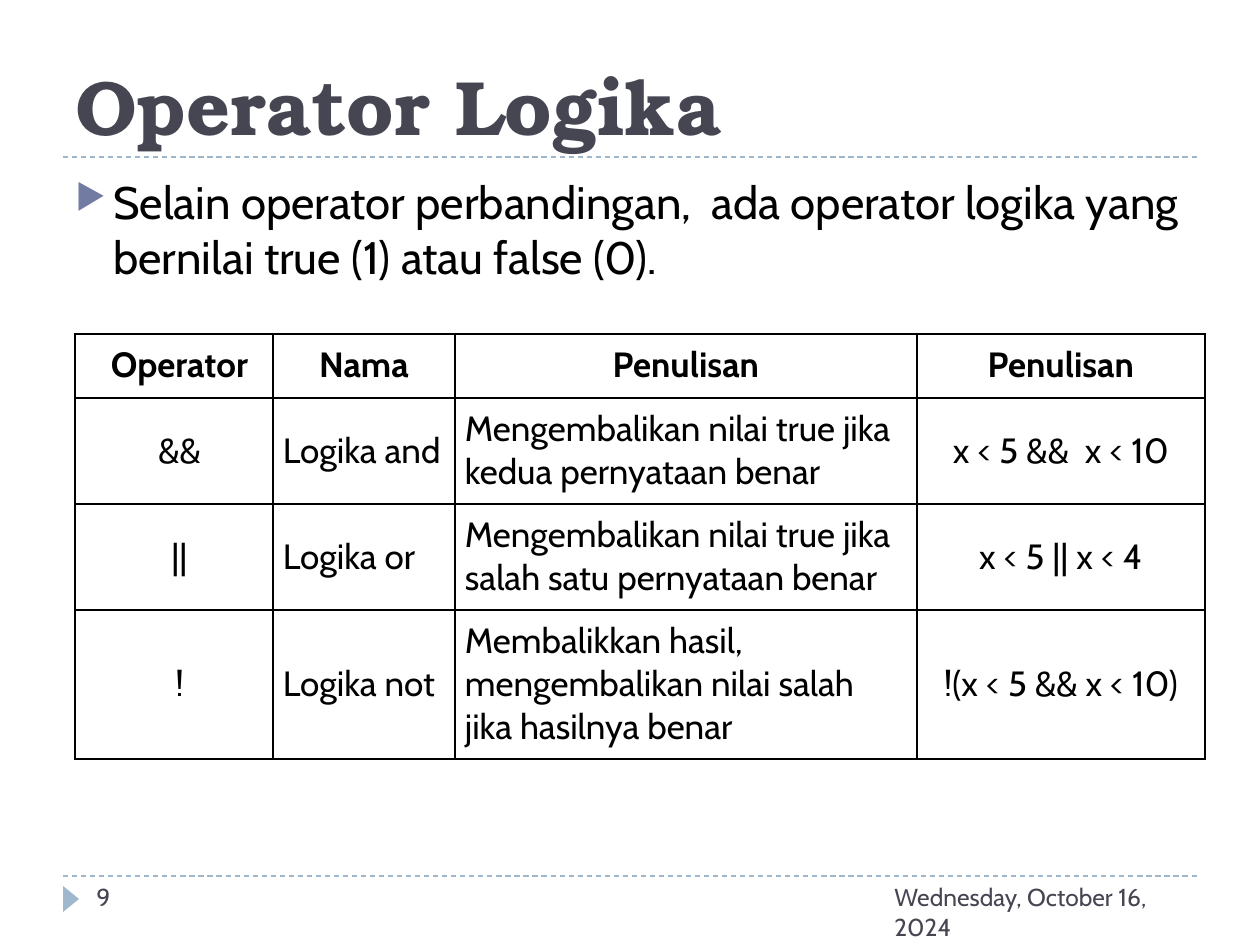
import pptx
import pptx.util
import pptx.dml.color
import pptx.enum.dml
import pptx.enum.shapes
import pptx.enum.text
import pptx.oxml
import pptx.oxml.ns
import lxml.etree

SCALE = 914400 / 126
THEME = {
    "heading_font": "TeX Gyre Bonum", "body_font": "Cabin",
    "slate": "464653", "black": "000000", "rule": "9FB8CD", "bullet": "727CA3",
    "title": 44, "body": 26, "table": 20, "footer": 14,
}
MIDDLE = pptx.enum.text.MSO_ANCHOR.MIDDLE
TOP = pptx.enum.text.MSO_ANCHOR.TOP
BOTTOM = pptx.enum.text.MSO_ANCHOR.BOTTOM
LEFT = pptx.enum.text.PP_ALIGN.LEFT
CENTER = pptx.enum.text.PP_ALIGN.CENTER


def px(*lengths):
    return [pptx.util.Emu(round(length * SCALE)) for length in lengths]


def write(frame, text, size, color, font="body_font", bold=False):
    frame.word_wrap = True
    frame.text = text
    for span in frame.paragraphs[0].runs:
        span.font.name = THEME[font]
        span.font.size = pptx.util.Pt(THEME[size])
        span.font.bold = bold
        span.font.color.rgb = pptx.dml.color.RGBColor.from_string(THEME[color])


deck = pptx.Presentation()
deck.slide_width, deck.slide_height = px(1260, 945)
page = deck.slides.add_slide(deck.slide_layouts[6])
rule_color = pptx.dml.color.RGBColor.from_string(THEME["rule"])

for y in (876, 157):
    rule = page.shapes.add_connector(
        pptx.enum.shapes.MSO_CONNECTOR.STRAIGHT, *px(63, y, 1197, y))
    rule.line.color.rgb = rule_color
    rule.line.width = pptx.util.Pt(0.75)
    rule.line.dash_style = pptx.enum.dml.MSO_LINE.DASH
    lxml.etree.SubElement(rule._element.spPr, pptx.oxml.ns.qn("a:effectLst"))

marker = page.shapes.add_shape(
    pptx.enum.shapes.MSO_SHAPE.ISOSCELES_TRIANGLE, *px(58, 891, 26, 16))
marker.rotation = 90
marker.shadow.inherit = False
marker.fill.solid()
marker.fill.fore_color.rgb = rule_color
marker.line.fill.background()

title_box = page.shapes.add_textbox(*px(63, 21, 1134, 136))
write(title_box.text_frame, "Operator Logika", "title", "slate", "heading_font", True)
title_box.text_frame.vertical_anchor = BOTTOM

for left, width, text in ((882, 315, "Wednesday, October 16, 2024"), (84, 273, "9")):
    footer_box = page.shapes.add_textbox(*px(left, 876, width, 50))
    write(footer_box.text_frame, text, "footer", "slate")

body_box = page.shapes.add_textbox(*px(63, 168, 1134, 146))
write(body_box.text_frame,
      "Selain operator perbandingan,  ada operator logika yang bernilai true (1) atau false (0).",
      "body", "black")
para = body_box.text_frame.paragraphs[0]
para.space_before = pptx.util.Pt(6)
properties = para._p.get_or_add_pPr()
indent = px(38)[0]
properties.set("marL", str(indent))
properties.set("indent", str(-indent))
bullet_color = lxml.etree.SubElement(properties, pptx.oxml.ns.qn("a:buClr"))
lxml.etree.SubElement(bullet_color, pptx.oxml.ns.qn("a:srgbClr"), val=THEME["bullet"])
lxml.etree.SubElement(properties, pptx.oxml.ns.qn("a:buSzPct"), val="76000")
lxml.etree.SubElement(properties, pptx.oxml.ns.qn("a:buChar"), char="▶")

column_widths = (198, 182, 462, 288)
row_heights = (64, 106, 106, 149)
operators = (
    ("Operator", "Nama", "Penulisan", "Penulisan"),
    ("&&", "Logika and", "Mengembalikan nilai true jika kedua pernyataan benar", "x < 5 &&  x < 10"),
    ("||", "Logika or", "Mengembalikan nilai true jika salah satu pernyataan benar", "x < 5 || x < 4"),
    ("!", "Logika not", "Membalikkan hasil, mengembalikan nilai salah jika hasilnya benar",
     "!(x < 5 && x < 10)"),
)
table = page.shapes.add_table(
    len(operators), len(column_widths),
    *px(75, 334, sum(column_widths), sum(row_heights))).table
table.first_row = False
table.horz_banding = False
for column, width in zip(table.columns, px(*column_widths)):
    column.width = width
for row, height in zip(table.rows, px(*row_heights)):
    row.height = height

for row_index, texts in enumerate(operators):
    header = row_index == 0
    for column_index, text in enumerate(texts):
        cell = table.cell(row_index, column_index)
        write(cell.text_frame, text, "table", "black", bold=header)
        centered = header or column_index in (0, 3)
        cell.text_frame.paragraphs[0].alignment = CENTER if centered else LEFT
        cell.vertical_anchor = TOP if header or column_index == 2 else MIDDLE
        cell.margin_left, cell.margin_right, cell.margin_top, cell.margin_bottom = px(
            21 if column_index == 0 else 10, 10, 10, 10)
        cell_properties = cell._tc.get_or_add_tcPr()
        for side in ("a:lnL", "a:lnR", "a:lnT", "a:lnB"):
            border = lxml.etree.SubElement(
                cell_properties, pptx.oxml.ns.qn(side), w=str(pptx.util.Pt(1)))
            fill = lxml.etree.SubElement(border, pptx.oxml.ns.qn("a:solidFill"))
            lxml.etree.SubElement(fill, pptx.oxml.ns.qn("a:srgbClr"), val=THEME["black"])
        cell.fill.background()

deck.save("out.pptx")
